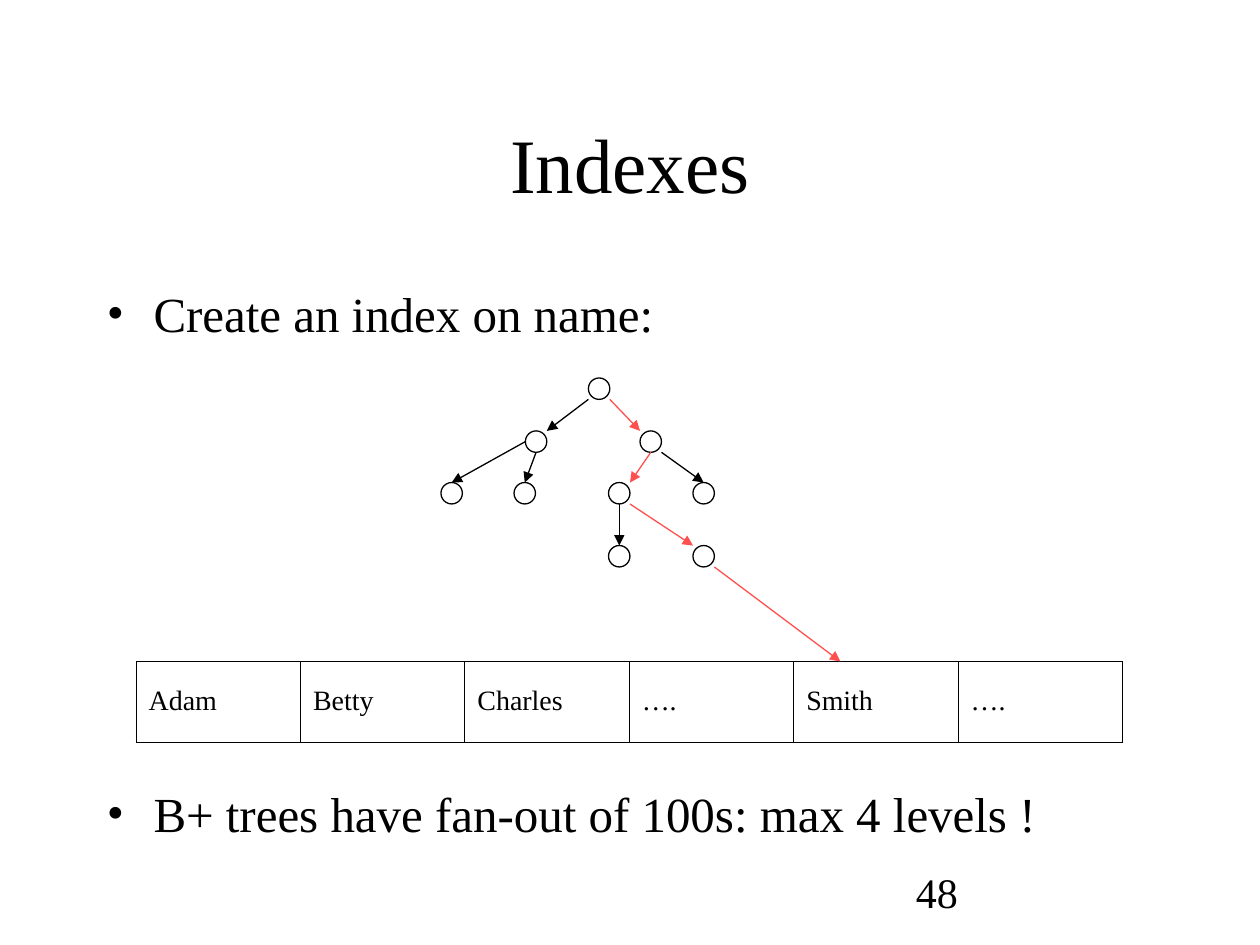
import pptx
import pptx.util
import pptx.dml.color
import pptx.enum.shapes
import pptx.enum.text
import pptx.oxml
import pptx.oxml.ns
from pptx.util import Inches

FONT = "Times New Roman"
BLACK = "000000"
RED = "FF5050"
NODE = 0.17
NODES = {
    "root": (4.67, 3),
    "left": (4.17, 3.42),
    "right": (5.08, 3.42),
    "left_a": (3.5, 3.83),
    "left_b": (4.08, 3.83),
    "right_a": (4.83, 3.83),
    "right_b": (5.5, 3.83),
    "leaf_a": (4.83, 4.33),
    "leaf_b": (5.5, 4.33),
}
EDGES = [
    ("root", (0, 1), "left", (1, 0), BLACK),
    ("root", (1, 1), "right", (0, 0), RED),
    ("left", (0, 0.5), "left_a", (0.5, 0), BLACK),
    ("left", (0.5, 1), "left_b", (0.5, 0), BLACK),
    ("right", (0.5, 1), "right_a", (1, 0), RED),
    ("right", (1, 1), "right_b", (0.5, 0), BLACK),
    ("right_a", (0.5, 1), "leaf_a", (0.5, 0), BLACK),
    ("right_a", (1, 1), "leaf_b", (0, 0), RED),
]
NAMES = ["Adam", "Betty", "Charles", "….", "Smith", "…."]


def color(value):
    return pptx.dml.color.RGBColor.from_string(value)


def add_xml(parent, tag, **attrs):
    child = pptx.oxml.ns.qn(tag)
    element = parent.makeelement(child, attrs)
    parent.append(element)
    return element


def format_text(p, size):
    for r in p.runs:
        r.font.name = FONT
        r.font.size = pptx.util.Pt(size)
        r.font.color.rgb = color(BLACK)


def add_title(s, text):
    sp = s.shapes.title
    sp.left, sp.top = Inches(0.75), Inches(0.67)
    sp.width, sp.height = Inches(8.5), Inches(1.25)
    tf = sp.text_frame
    tf.text = text
    tf.vertical_anchor = pptx.enum.text.MSO_ANCHOR.MIDDLE
    tf.paragraphs[0].alignment = pptx.enum.text.PP_ALIGN.CENTER
    format_text(tf.paragraphs[0], 44)


def add_text(s, left, top, width, height, lines, size):
    sp = s.shapes.add_textbox(Inches(left), Inches(top), Inches(width), Inches(height))
    tf = sp.text_frame
    tf.word_wrap = True
    tf.text = "\n".join(lines)
    for p in tf.paragraphs:
        format_text(p, size)
    return tf


def add_bullets(s, lines, gap):
    tf = add_text(s, 0.75, 2.2, 8.75, 4.5, lines, 28)
    for p in tf.paragraphs[1:]:
        p.space_before = pptx.util.Pt(gap)
    for p in tf.paragraphs:
        pPr = p._p.get_or_add_pPr()
        pPr.set("marL", str(Inches(0.37)))
        pPr.set("indent", str(Inches(-0.37)))
        add_xml(pPr, "a:buFont", typeface=FONT)
        add_xml(pPr, "a:buChar", char="•")


def add_border(cell, side):
    tcPr = cell._tc.get_or_add_tcPr()
    ln = add_xml(tcPr, "a:" + side, w=str(pptx.util.Pt(0.5)))
    fill = add_xml(ln, "a:solidFill")
    add_xml(fill, "a:srgbClr", val=BLACK)


def add_names(s):
    frame = s.shapes.add_table(1, len(NAMES), Inches(1.08), Inches(5.25),
                               Inches(7.83), Inches(0.64))
    table = frame.table
    table.first_row = False
    table.horz_banding = False
    for cell, name in zip(table.rows[0].cells, NAMES):
        cell.text = name
        cell.vertical_anchor = pptx.enum.text.MSO_ANCHOR.MIDDLE
        p = cell.text_frame.paragraphs[0]
        p.line_spacing = 0.93
        format_text(p, 16)
        for side in ("lnL", "lnR", "lnT", "lnB"):
            add_border(cell, side)
        cell.fill.background()


def add_node(group, left, top):
    sp = group.shapes.add_shape(pptx.enum.shapes.MSO_SHAPE.OVAL, Inches(left),
                                Inches(top), Inches(NODE), Inches(NODE))
    sp.shadow.inherit = False
    sp.fill.background()
    sp.line.color.rgb = color(BLACK)
    sp.line.width = pptx.util.Pt(0.75)


def node_point(name, part):
    return tuple(start + NODE * share for start, share in zip(NODES[name], part))


def add_arrow(s, start, end, line_color):
    sp = s.shapes.add_connector(pptx.enum.shapes.MSO_CONNECTOR.STRAIGHT,
                                *map(Inches, start + end))
    sp.line.color.rgb = color(line_color)
    sp.line.width = pptx.util.Pt(0.75)
    add_xml(sp.line._get_or_add_ln(), "a:tailEnd", type="triangle")
    add_xml(sp._element.spPr, "a:effectLst")


def add_tree(s):
    group = s.shapes.add_group_shape()
    for left, top in NODES.values():
        add_node(group, left, top)
    for parent, leave, child, enter, line_color in EDGES:
        add_arrow(s, node_point(parent, leave), node_point(child, enter), line_color)
    add_arrow(s, node_point("leaf_b", (1, 1)), (6.67, 5.25), RED)


def main():
    prs = pptx.Presentation()
    prs.slide_width, prs.slide_height = Inches(10), Inches(7.5)
    s = prs.slides.add_slide(prs.slide_layouts[5])
    add_title(s, "Indexes")
    add_bullets(s, ["Create an index on name:",
                    "B+ trees have fan-out of 100s: max 4 levels !"], 252)
    add_names(s)
    add_tree(s)
    add_text(s, 7.17, 6.83, 2.08, 0.5, ["48"], 24)
    prs.save("out.pptx")


if __name__ == "__main__":
    main()
